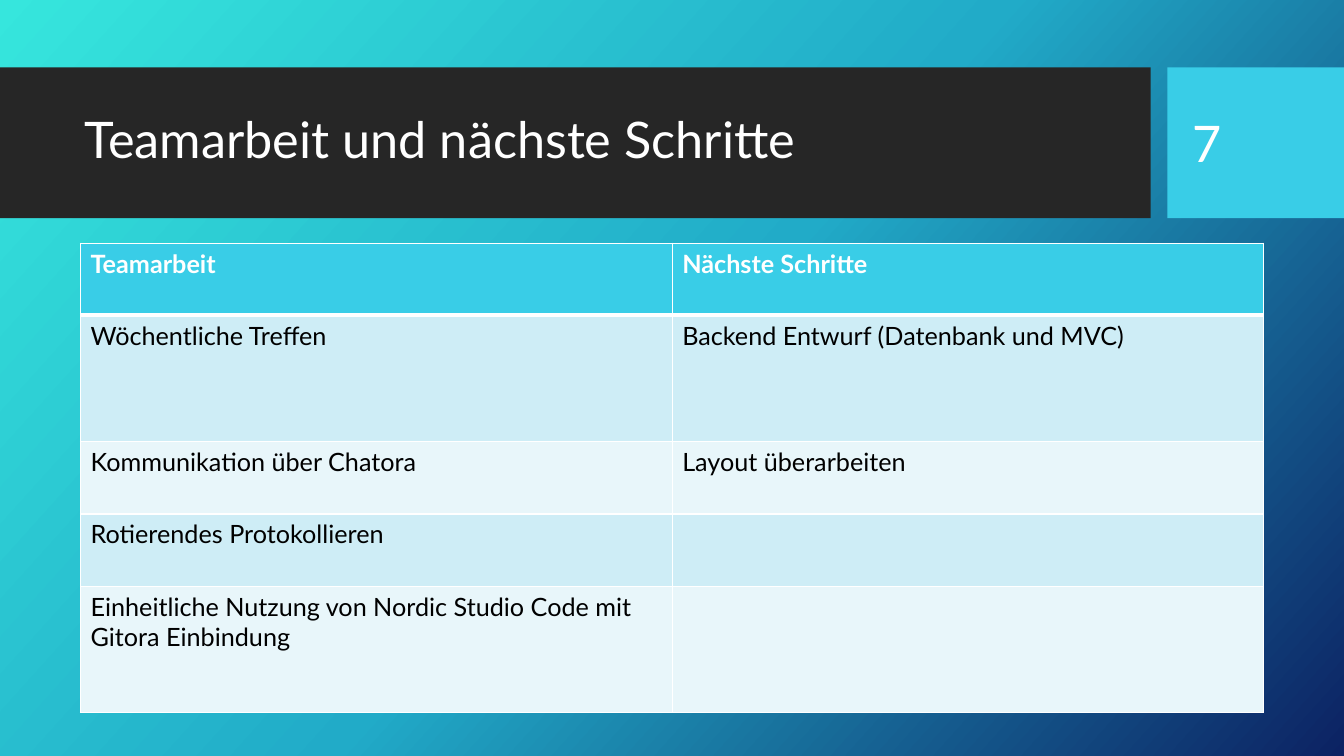
from copy import deepcopy

from lxml import etree
from pptx import Presentation
from pptx.dml.color import RGBColor
from pptx.enum import shapes, text
from pptx.oxml import ns
from pptx.util import Cm, Pt

FONT = "Lato"
WHITE = RGBColor(0xFF, 0xFF, 0xFF)
BLACK = RGBColor(0, 0, 0)
CHARCOAL = RGBColor(0x26, 0x26, 0x26)
CYAN = RGBColor(0x39, 0xCD, 0xE7)
BAND_DARK = RGBColor(0xCE, 0xED, 0xF6)
BAND_LIGHT = RGBColor(0xE8, 0xF6, 0xFA)
GRADIENT = [
    (0, RGBColor(0x36, 0xE6, 0xDD)),
    (0.5, RGBColor(0x21, 0xAB, 0xC8)),
    (1, RGBColor(0x0C, 0x22, 0x63)),
]
ROWS = [
    ("Teamarbeit", "Nächste Schritte"),
    ("Wöchentliche Treffen", "Backend Entwurf (Datenbank und MVC)"),
    ("Kommunikation über Chatora", "Layout überarbeiten"),
    ("Rotierendes Protokollieren", ""),
    ("Einheitliche Nutzung von Nordic Studio Code mit Gitora Einbindung", ""),
]
ROW_HEIGHTS = [Cm(1.81), Cm(3.18), Cm(1.83), Cm(1.83), Cm(3.18)]


def write(frame, content, size=18, color=BLACK, bold=False,
          anchor=text.MSO_ANCHOR.TOP, spacing=1.0):
    frame.word_wrap = True
    frame.vertical_anchor = anchor
    paragraph = frame.paragraphs[0]
    paragraph.alignment = text.PP_ALIGN.LEFT
    paragraph.line_spacing = spacing
    run = paragraph.add_run()
    run.text = content
    run.font.name = FONT
    run.font.size = Pt(size)
    run.font.bold = bold
    run.font.color.rgb = color


def paint_background(slide):
    fill = slide.background.fill
    fill.gradient()
    first_stop = slide.element.find(".//" + ns.qn("a:gs"))
    first_stop.addnext(deepcopy(first_stop))
    for stop, (position, color) in zip(fill.gradient_stops, GRADIENT):
        stop.position = position
        stop.color.rgb = color
    fill.gradient_angle = 360 - 42


def add_bar(slide, left, top, width, height, color):
    bar = slide.shapes.add_shape(shapes.MSO_SHAPE.RECTANGLE, left, top, width, height)
    bar.shadow.inherit = False
    bar.fill.solid()
    bar.fill.fore_color.rgb = color
    bar.line.fill.background()
    return bar


def build_header(slide, left, top, width, height):
    number_width = Cm(4.45)
    number_left = left + width - number_width
    title_width = number_left - left - Cm(0.42)
    title = slide.shapes.title
    for bar in (
        add_bar(slide, left, top, title_width, height, CHARCOAL),
        add_bar(slide, number_left, top, number_width, height, CYAN),
    ):
        title.element.addprevious(bar.element)

    text_top = top + Cm(0.38)
    title.left, title.top = left + Cm(1.88), text_top
    title.width, title.height = Cm(26.7), Cm(3)
    title.text_frame.auto_size = text.MSO_AUTO_SIZE.NONE
    write(title.text_frame, "Teamarbeit und nächste Schritte", size=36, color=WHITE,
          anchor=text.MSO_ANCHOR.MIDDLE, spacing=0.9)
    number = slide.shapes.add_textbox(number_left + Cm(0.38), text_top, Cm(3.2), Cm(3.02))
    write(number.text_frame, "7", size=36, color=WHITE, anchor=text.MSO_ANCHOR.MIDDLE)


def set_borders(cell, **widths):
    properties = cell._tc.get_or_add_tcPr()
    for index, side in enumerate("LRTB"):
        line = etree.Element(ns.qn(f"a:ln{side}"), w=str(Pt(widths.get(side, 1))))
        fill = etree.SubElement(line, ns.qn("a:solidFill"))
        etree.SubElement(fill, ns.qn("a:srgbClr"), val=str(WHITE))
        properties.insert(index, line)


def build_table(slide, left, top, width):
    frame = slide.shapes.add_table(len(ROWS), 2, left, top, width, sum(ROW_HEIGHTS))
    table = frame.table
    table.horz_banding = False
    for column in table.columns:
        column.width = width // 2
    for row_index, (contents, height) in enumerate(zip(ROWS, ROW_HEIGHTS)):
        table.rows[row_index].height = height
        header = row_index == 0
        band = BAND_DARK if row_index % 2 else BAND_LIGHT
        for column_index, content in enumerate(contents):
            cell = table.cell(row_index, column_index)
            cell.fill.solid()
            cell.fill.fore_color.rgb = CYAN if header else band
            set_borders(cell, T=3 if row_index == 1 else 1, B=3 if header else 1)
            if content:
                write(cell.text_frame, content, color=WHITE if header else BLACK, bold=header)


def main():
    presentation = Presentation()
    presentation.slide_width = Cm(33.87)
    presentation.slide_height = Cm(19.05)
    slide = presentation.slides.add_slide(presentation.slide_layouts[5])
    paint_background(slide)
    build_header(slide, Cm(0), Cm(1.7), presentation.slide_width, Cm(3.8))
    build_table(slide, Cm(2.03), Cm(6.13), Cm(29.82))
    presentation.save("out.pptx")


if __name__ == "__main__":
    main()
